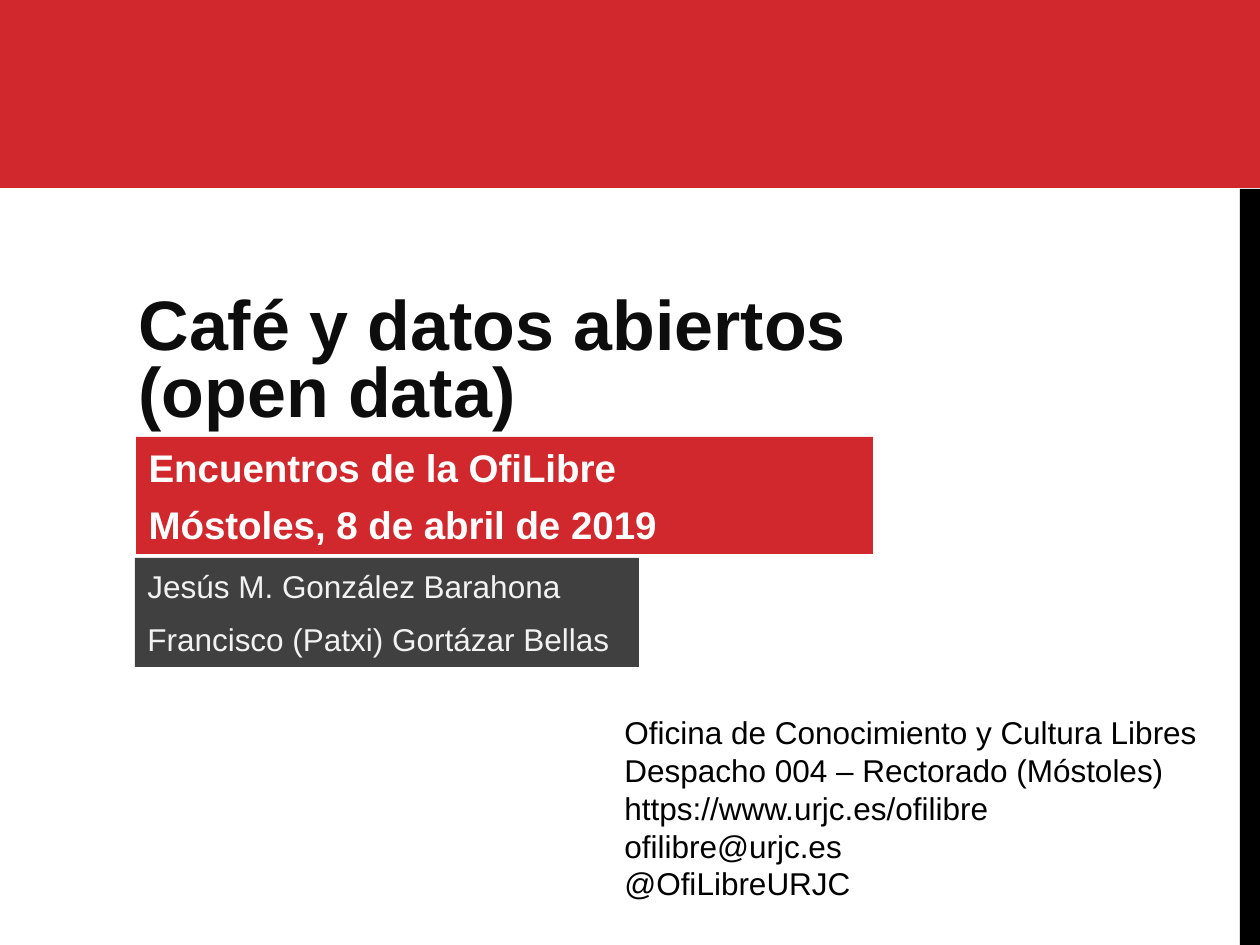
"""Build the opening slide of an open data talk."""
from pptx import Presentation
from pptx.dml.color import RGBColor
from pptx.enum.shapes import MSO_SHAPE as SHAPE
from pptx.enum.text import MSO_ANCHOR as ANCHOR, MSO_AUTO_SIZE as AUTO, PP_ALIGN as ALIGN
from pptx.util import Emu, Pt

RED = RGBColor(0xD1, 0x28, 0x2E)
BLACK = RGBColor(0, 0, 0)
INK = RGBColor(0x0D, 0x0D, 0x0D)
GREY = RGBColor(0x40, 0x40, 0x40)
PALE = RGBColor(0xF2, 0xF2, 0xF2)
WHITE = RGBColor(0xFF, 0xFF, 0xFF)
PX = 914400 // 126

TITLE = ["Café y datos abiertos", "(open data)"]
EVENT = ["Encuentros de la OfiLibre", "Móstoles, 8 de abril de 2019"]
SPEAKERS = ["Jesús M. González Barahona", "Francisco (Patxi) Gortázar Bellas"]
CONTACT = [
    "Oficina de Conocimiento y Cultura Libres",
    "Despacho 004 – Rectorado (Móstoles)",
    "https://www.urjc.es/ofilibre",
    "ofilibre@urjc.es",
    "@OfiLibreURJC",
]
BARS = [((1240, 189, 20, 756), BLACK), ((0, 0, 1260, 188), RED)]


def emu(box):
    return [Emu(v * PX) for v in box]


def place(sp, box):
    for name, value in zip(("left", "top", "width", "height"), emu(box)):
        setattr(sp, name, value)


def paint(sp, color):
    sp.fill.solid()
    sp.fill.fore_color.rgb = color
    sp.line.fill.background()


def add_rect(slide, box, color):
    sp = slide.shapes.add_shape(SHAPE.RECTANGLE, *emu(box))
    sp.shadow.inherit = False
    paint(sp, color)
    return sp


def write(sp, lines, size, color, anchor, bold=False, before=0, after=0, spacing=1.0):
    tf = sp.text_frame
    frame = {"word_wrap": True, "auto_size": AUTO.NONE, "vertical_anchor": anchor}
    for name, value in frame.items():
        setattr(tf, name, value)
    for i, line in enumerate(lines):
        p = tf.add_paragraph() if i else tf.paragraphs[0]
        r = p.add_run()
        r.text = line
        layout = {"alignment": ALIGN.LEFT, "line_spacing": spacing,
                  "space_before": Pt(before if i else 0), "space_after": Pt(after)}
        for name, value in layout.items():
            setattr(p, name, value)
        for name, value in {"name": "Arial", "size": Pt(size), "bold": bold}.items():
            setattr(r.font, name, value)
        r.font.color.rgb = color


def main():
    prs = Presentation()
    prs.slide_width, prs.slide_height = emu((1260, 945))
    slide = prs.slides.add_slide(prs.slide_layouts[0])
    title, event = slide.placeholders

    for box, color in BARS:
        add_rect(slide, box, color)

    place(title, (126, 151, 1034, 286))
    write(title, TITLE, 40, INK, ANCHOR.BOTTOM, bold=True, spacing=0.8)

    place(event, (136, 437, 737, 117))
    paint(event, RED)
    write(event, EVENT, 22, WHITE, ANCHOR.MIDDLE, bold=True, after=6)

    speakers = add_rect(slide, (135, 558, 504, 109), GREY)
    write(speakers, SPEAKERS, 18, PALE, ANCHOR.MIDDLE, before=3, after=6)

    contact = slide.shapes.add_textbox(*emu((612, 707, 633, 213)))
    write(contact, CONTACT, 18, BLACK, ANCHOR.TOP)

    prs.save("out.pptx")


if __name__ == "__main__":
    main()
